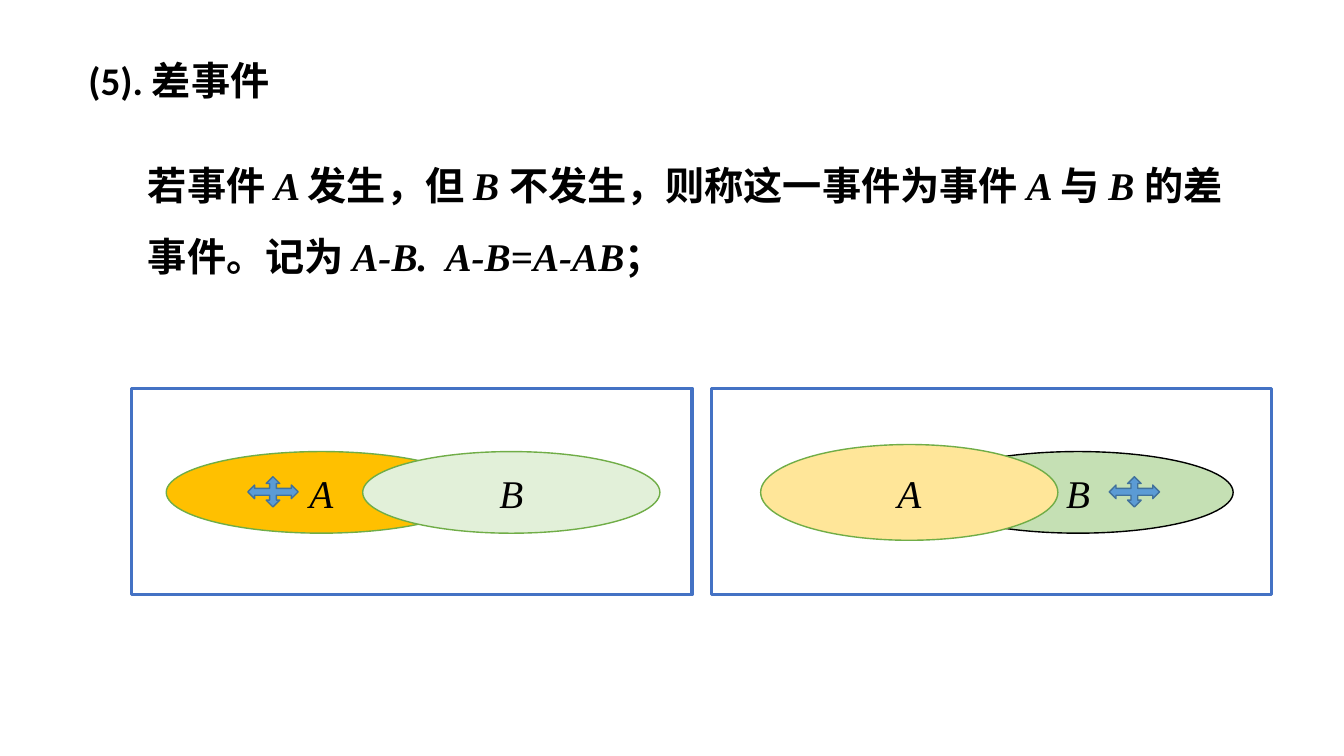
"""Build the slide on the difference of two events."""
from pptx import Presentation
from pptx.dml.color import RGBColor
from pptx.enum.shapes import MSO_SHAPE as SHAPE
from pptx.enum.text import MSO_ANCHOR as ANCHOR, MSO_AUTO_SIZE as AUTO, PP_ALIGN as ALIGN
from pptx.util import Inches, Pt

BODY, MATH = "Calibri", "Times New Roman"


def color(value):
    """Turn a hex string into a colour."""
    return RGBColor.from_string(value)


def add_run(p, text, font=BODY, size=28, bold=False, italic=False):
    """Append a formatted run to a paragraph."""
    r = p.add_run()
    r.text = text
    r.font.name, r.font.size = font, Pt(size)
    r.font.bold, r.font.italic = bold, italic
    r.font.color.rgb = color("000000")


def add_shape(s, kind, box, fill, line, width=1):
    """Add a preset shape with its fill and outline."""
    sp = s.shapes.add_shape(kind, *map(Inches, box))
    sp.shadow.inherit = False
    if fill:
        sp.fill.solid()
        sp.fill.fore_color.rgb = color(fill)
    else:
        sp.fill.background()
    sp.line.color.rgb = color(line)
    sp.line.width = Pt(width)
    return sp


def add_event(s, label, box, fill, line="70AD47"):
    """Add an ellipse that stands for an event."""
    tf = add_shape(s, SHAPE.OVAL, box, fill, line).text_frame
    tf.vertical_anchor = ANCHOR.MIDDLE
    p = tf.paragraphs[0]
    p.alignment = ALIGN.CENTER
    add_run(p, label, font=MATH, italic=True)


def add_text(s, box):
    """Add a wrapping text box and return its paragraph."""
    tf = s.shapes.add_textbox(*map(Inches, box)).text_frame
    tf.word_wrap = True
    tf.auto_size = AUTO.SHAPE_TO_FIT_TEXT
    p = tf.paragraphs[0]
    p.line_spacing = 1.5
    return p


def main():
    """Build and save the slide."""
    prs = Presentation()
    prs.slide_width, prs.slide_height = Inches(13.34), Inches(7.5)
    s = prs.slides.add_slide(prs.slide_layouts[6])

    for left in (1.31, 7.06):
        add_shape(s, SHAPE.RECTANGLE, (left, 3.85, 5.56, 2.05), None, "4472C4", 2.25)
    add_event(s, "A", (1.65, 4.48, 3.08, 0.81), "FFC000")
    add_event(s, "B", (3.6, 4.48, 2.95, 0.81), "E2F0D9")
    add_event(s, "B", (9.16, 4.48, 3.08, 0.81), "C5E0B4", "000000")
    add_event(s, "A", (7.55, 4.41, 2.95, 0.95), "FFE699")
    for left in (2.46, 11.01):
        add_shape(s, SHAPE.QUAD_ARROW, (left, 4.73, 0.5, 0.3), "5B9BD5", "41719C")

    definition = add_text(s, (1.37, 1.32, 11.24, 1.5))
    for words, symbol in (
        ("若事件 ", "A "),
        ("发生，但 ", "B "),
        ("不发生，则称这一事件为事件 ", "A "),
        ("与 ", "B "),
        ("的差事件。记为 ", "A-B.  A-B=A-AB"),
    ):
        add_run(definition, words, bold=True)
        add_run(definition, symbol, font=MATH, bold=True, italic=True)
    add_run(definition, "；", font=MATH, bold=True)

    add_run(add_text(s, (0.78, 0.28, 2.4, 0.8)), "(5). 差事件", bold=True)
    prs.save("out.pptx")


if __name__ == "__main__":
    main()
